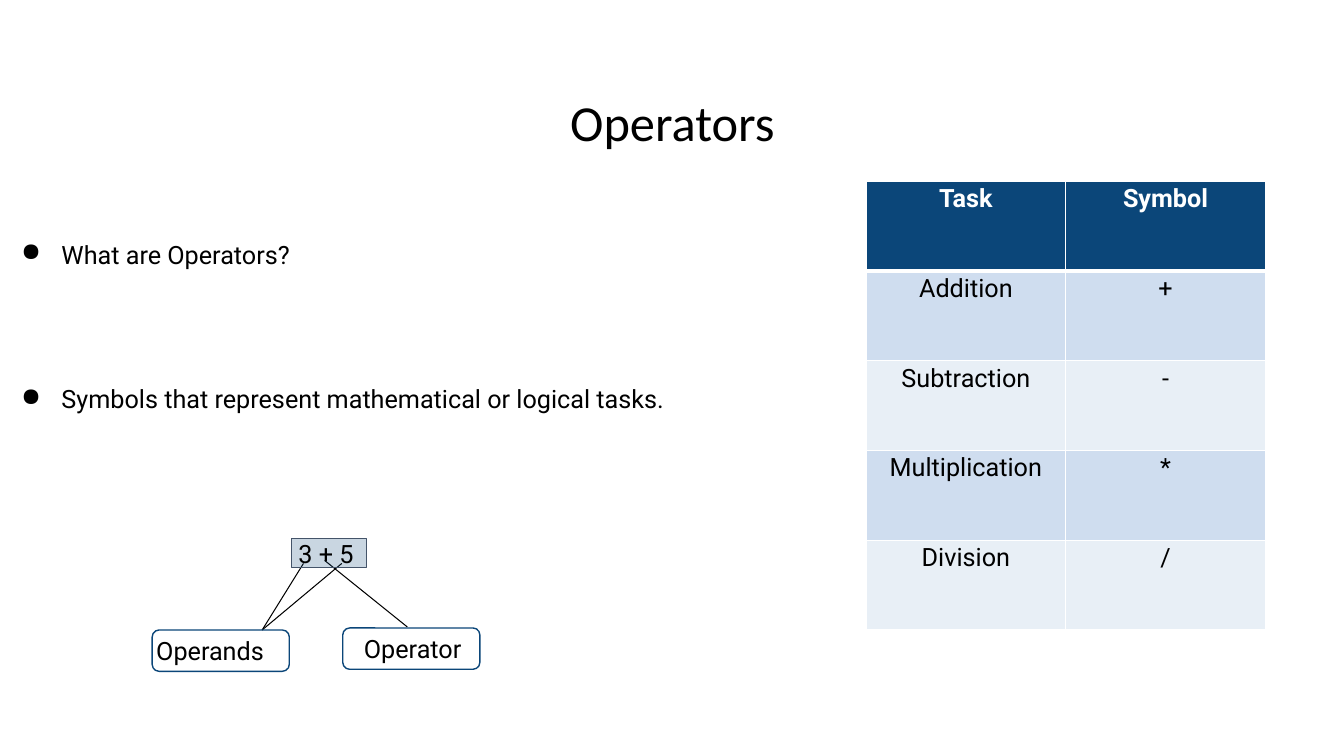
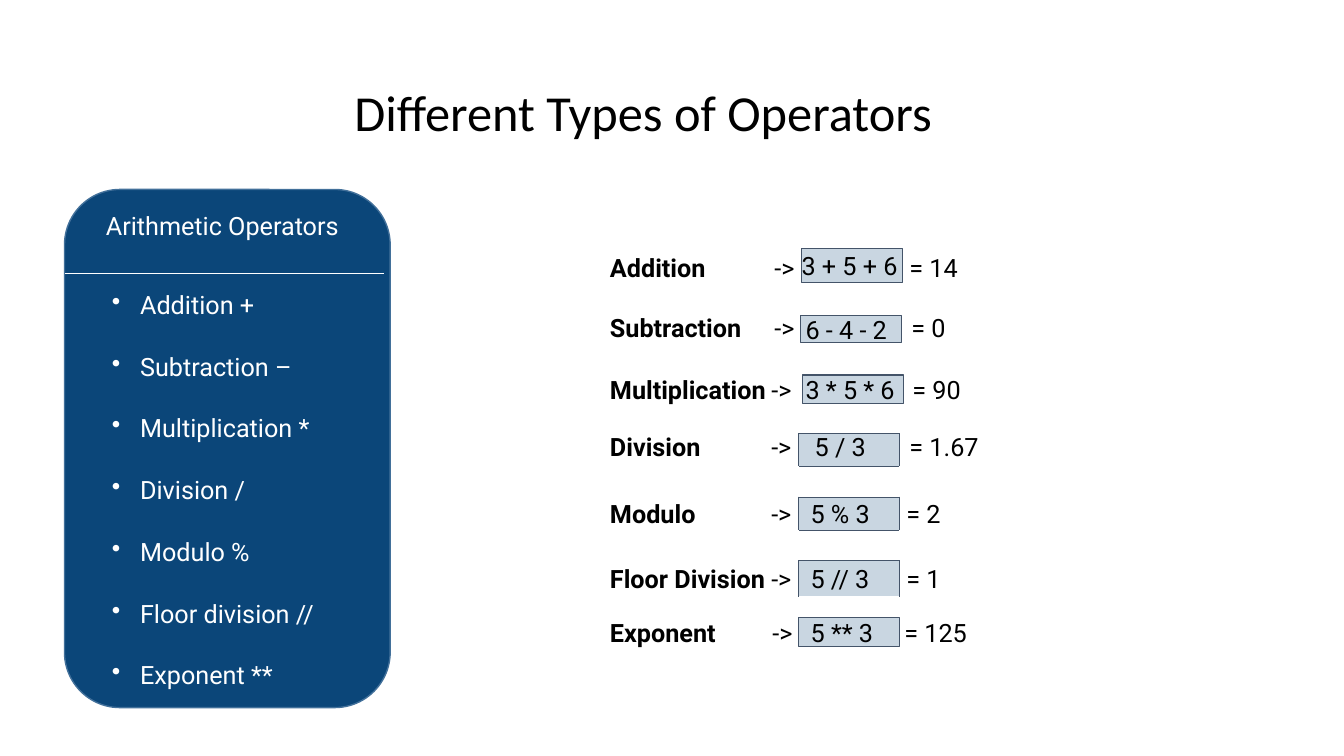
"""Builds two slides that introduce operators."""
from dataclasses import dataclass

import pptx
import pptx.dml.color
import pptx.enum.shapes
import pptx.enum.text
import pptx.oxml
import pptx.oxml.ns
import pptx.util
from lxml import etree

SCALE = 9144
SHAPES = pptx.enum.shapes.MSO_SHAPE
ALIGN = pptx.enum.text.PP_ALIGN
ANCHOR = pptx.enum.text.MSO_ANCHOR
qn = pptx.oxml.ns.qn
rgb = pptx.dml.color.RGBColor.from_string


@dataclass(frozen=True)
class Theme:
    navy = rgb("0B4679")
    slate = rgb("445469")
    steel = rgb("42709A")
    tint = rgb("C9D6E1")
    bands = (rgb("CFDDEF"), rgb("E8EFF6"))
    white = rgb("FFFFFF")
    black = rgb("000000")
    title_font = "Calibri"
    body_font = "Roboto"
    title_size = 36
    body_size = 18
    thin = 0.75
    medium = 1
    thick = 3
    box_opacity = 22


THEME = Theme()
SIDES = {"L": (0, -1, "R"), "R": (0, 1, "L"), "T": (-1, 0, "B"), "B": (1, 0, "T")}
BORDER_ORDER = ["lnL", "lnR", "lnT", "lnB"]


def px(length):
    return pptx.util.Emu(length * SCALE)


def place(frame):
    return [px(length) for length in frame]


def add_span(para, text, color=THEME.black, bold=False, font=THEME.body_font, size=THEME.body_size):
    span = para.add_run()
    span.text = text
    span.font.name = font
    span.font.size = pptx.util.Pt(size)
    span.font.bold = bold
    span.font.color.rgb = color


def set_insets(holder, left=0, top=0):
    holder.margin_left, holder.margin_top = px(left), px(top)
    holder.margin_right = holder.margin_bottom = 0


def add_title(deck, text, frame):
    page = deck.slides.add_slide(deck.slide_layouts[5])
    title = page.shapes.title
    title.left, title.top, title.width, title.height = place(frame)
    body = title.text_frame
    body.word_wrap = True
    body.vertical_anchor = ANCHOR.MIDDLE
    set_insets(body, top=3)
    para = body.paragraphs[0]
    para.alignment = ALIGN.CENTER
    add_span(para, text, font=THEME.title_font, size=THEME.title_size)
    return page


def add_text(page, text, frame, color=THEME.black, bold=False):
    body = page.shapes.add_textbox(*place(frame)).text_frame
    body.word_wrap = True
    set_insets(body, left=1, top=2)
    add_span(body.paragraphs[0], text, color, bold)


def add_bullets(page, items, frame, mark, indent, color=THEME.black, gap=0):
    body = page.shapes.add_textbox(*place(frame)).text_frame
    body.word_wrap = True
    set_insets(body, left=1, top=2)
    for number, item in enumerate(items):
        para = body.add_paragraph() if number else body.paragraphs[0]
        para.space_after = pptx.util.Pt(gap)
        add_span(para, item, color)
        properties = para._p.get_or_add_pPr()
        properties.set("marL", str(px(indent)))
        properties.set("indent", str(-px(indent)))
        etree.SubElement(properties, qn("a:buChar")).set("char", mark)


def add_box(page, kind, frame, line, weight, fill=None, opacity=None):
    box = page.shapes.add_shape(kind, *place(frame))
    box.shadow.inherit = False
    box.line.color.rgb = line
    box.line.width = pptx.util.Pt(weight)
    if fill is None:
        box.fill.background()
    else:
        box.fill.solid()
        box.fill.fore_color.rgb = fill
    if opacity is not None:
        tone = box._element.spPr.find(qn("a:solidFill"))[0]
        etree.SubElement(tone, qn("a:alpha")).set("val", str(opacity * 1000))
    return box


def write_in_box(box, text, indent):
    body = box.text_frame
    body.word_wrap = True
    body.vertical_anchor = ANCHOR.MIDDLE
    set_insets(body, left=indent)
    para = body.paragraphs[0]
    para.alignment = ALIGN.LEFT
    add_span(para, text)


def add_expression(page, text, frame, indent):
    box = add_box(page, SHAPES.RECTANGLE, frame, THEME.slate, THEME.thin,
                  THEME.navy, THEME.box_opacity)
    write_in_box(box, text, indent)


def add_label(page, text, frame, indent):
    box = add_box(page, SHAPES.ROUNDED_RECTANGLE, frame, THEME.navy, THEME.medium)
    write_in_box(box, text, indent)


def add_line(page, start, end, color):
    line = page.shapes.add_connector(pptx.enum.shapes.MSO_CONNECTOR.STRAIGHT,
                                     *place(start + end))
    line.line.color.rgb = color
    line.line.width = pptx.util.Pt(THEME.thin)
    etree.SubElement(line._element.spPr, qn("a:effectLst"))


def add_table(page, left, top, columns, rows):
    frame = (left, top, sum(columns), sum(rows))
    table = page.shapes.add_table(len(rows), len(columns), *place(frame)).table
    table.first_row = table.horz_banding = False
    for column, width in zip(table.columns, columns):
        column.width = px(width)
    for row, height in zip(table.rows, rows):
        row.height = px(height)
    for cell in table.iter_cells():
        set_insets(cell)
        cell.fill.background()
    return table


def fill_cell(cell, color):
    cell.fill.solid()
    cell.fill.fore_color.rgb = color


def set_border(cell, side, color, weight):
    properties = cell._tc.get_or_add_tcPr()
    tag = "ln" + side
    for old in properties.findall(qn("a:" + tag)):
        properties.remove(old)
    edge = etree.SubElement(properties, qn("a:" + tag))
    edge.set("w", str(pptx.util.Pt(weight)))
    paint = etree.SubElement(edge, qn("a:solidFill"))
    etree.SubElement(paint, qn("a:srgbClr")).set("val", str(color))
    names = {qn("a:" + name): rank for rank, name in enumerate(BORDER_ORDER)}
    properties[:] = sorted(properties, key=lambda part: names.get(part.tag, len(names)))


def outline_cell(table, row, column, sides, color, weight):
    for side in sides:
        down, across, opposite = SIDES[side]
        set_border(table.cell(row, column), side, color, weight)
        near_row, near_column = row + down, column + across
        if 0 <= near_row < len(table.rows) and 0 <= near_column < len(table.columns):
            set_border(table.cell(near_row, near_column), opposite, color, weight)


def add_symbol_table(page):
    entries = [("Task", "Symbol"), ("Addition", "+"), ("Subtraction", "-"),
               ("Multiplication", "*"), ("Division", "/")]
    table = add_table(page, 859, 180, [198] * 2, [89] * len(entries))
    for row, entry in enumerate(entries):
        header = row == 0
        for column, text in enumerate(entry):
            cell = table.cell(row, column)
            set_insets(cell, top=3)
            fill_cell(cell, THEME.navy if header else THEME.bands[(row - 1) % 2])
            para = cell.text_frame.paragraphs[0]
            para.alignment = ALIGN.CENTER
            add_span(para, text, THEME.white if header else THEME.black, header)
            outline_cell(table, row, column, "LRB", THEME.white, THEME.medium)
            if header:
                outline_cell(table, row, column, "T", THEME.white, THEME.medium)
    for column in range(2):
        outline_cell(table, 0, column, "B", THEME.white, THEME.thick)


def add_division_table(page):
    entries = [("Division", "5 / 3", "= 1.67", 0, (3, 2, 16, 10)),
               ("Modulo", "5 % 3", "= 2", 3, (3, 2, 12, 7)),
               ("Floor Division", "5 // 3", "= 1", 5, (3, 2, 12, 7))]
    table = add_table(page, 602, 430, [161, 29, 100, 82], [33, 25, 33, 25, 36])
    for number, (name, expression, result, top, indents) in enumerate(entries):
        row = number * 2
        for column, text in enumerate((name, "->", expression, result)):
            cell = table.cell(row, column)
            set_insets(cell, indents[column], top)
            add_span(cell.text_frame.paragraphs[0], text, bold=column == 0)
        fill_cell(table.cell(row, 2), THEME.tint)
        sides = "LRT" if number == len(entries) - 1 else "LRTB"
        outline_cell(table, row, 2, sides, THEME.slate, THEME.thin)
    for row in (1, 3):
        for cell in table.rows[row].cells:
            cell.text_frame.paragraphs[0].line_spacing = pptx.util.Pt(10)


def add_equation(page, top, name, arrow_left, expression, box, indent, result_left, result):
    add_text(page, name, (604, top, 170, 32), bold=True)
    add_text(page, "->", (arrow_left, top, 31, 32))
    add_expression(page, expression, box, indent)
    add_text(page, result, (result_left, top, 80, 32))


def build_introduction(deck):
    page = add_title(deck, "Operators", (556, 88, 222, 62))
    for start, end in [((301, 559), (260, 625)), ((339, 559), (260, 625)),
                       ((322, 556), (404, 622))]:
        add_line(page, start, end, THEME.black)
    add_label(page, "Operands", (151, 625, 136, 41), 2)
    add_label(page, "Operator", (340, 623, 136, 41), 19)
    for text, top in [("What are Operators?", 235),
                      ("Symbols that represent mathematical or logical tasks.", 378)]:
        add_bullets(page, [text], (20, top, 670, 32), "●", 40)
    add_symbol_table(page)
    add_expression(page, "3 + 5", (289, 534, 75, 29), 7)


def build_types(deck):
    page = add_title(deck, "Different Types of Operators", (324, 78, 628, 62))
    for equation in [
        (248, "Addition", 767, "3 + 5 + 6", (795, 247, 100, 33), 0, 901, "= 14"),
        (308, "Subtraction", 767, "6 - 4 - 2", (794, 313, 100, 27), 5, 903, "= 0"),
        (369, "Multiplication", 764, "3 * 5 * 6", (796, 372, 100, 28), 3, 904, "= 90"),
        (610, "Exponent", 765, "5 ** 3", (792, 613, 100, 28), 12, 896, "= 125"),
    ]:
        add_equation(page, *equation)
    add_division_table(page)
    panel = add_box(page, SHAPES.ROUNDED_RECTANGLE, (64, 188, 323, 514),
                    THEME.steel, THEME.medium, THEME.navy)
    panel.adjustments[0] = 0.17
    add_text(page, "Arithmetic Operators", (104, 207, 250, 32), THEME.white)
    add_line(page, (64, 271), (381, 271), THEME.white)
    operators = ["Addition +", "Subtraction –", "Multiplication *", "Division /",
                 "Modulo %", "Floor division //", "Exponent **"]
    add_bullets(page, operators, (110, 285, 250, 400), "•", 28, THEME.white, 22.5)


def main():
    deck = pptx.Presentation()
    deck.slide_width, deck.slide_height = px(1333), px(750)
    build_introduction(deck)
    build_types(deck)
    deck.save("out.pptx")


if __name__ == "__main__":
    main()
